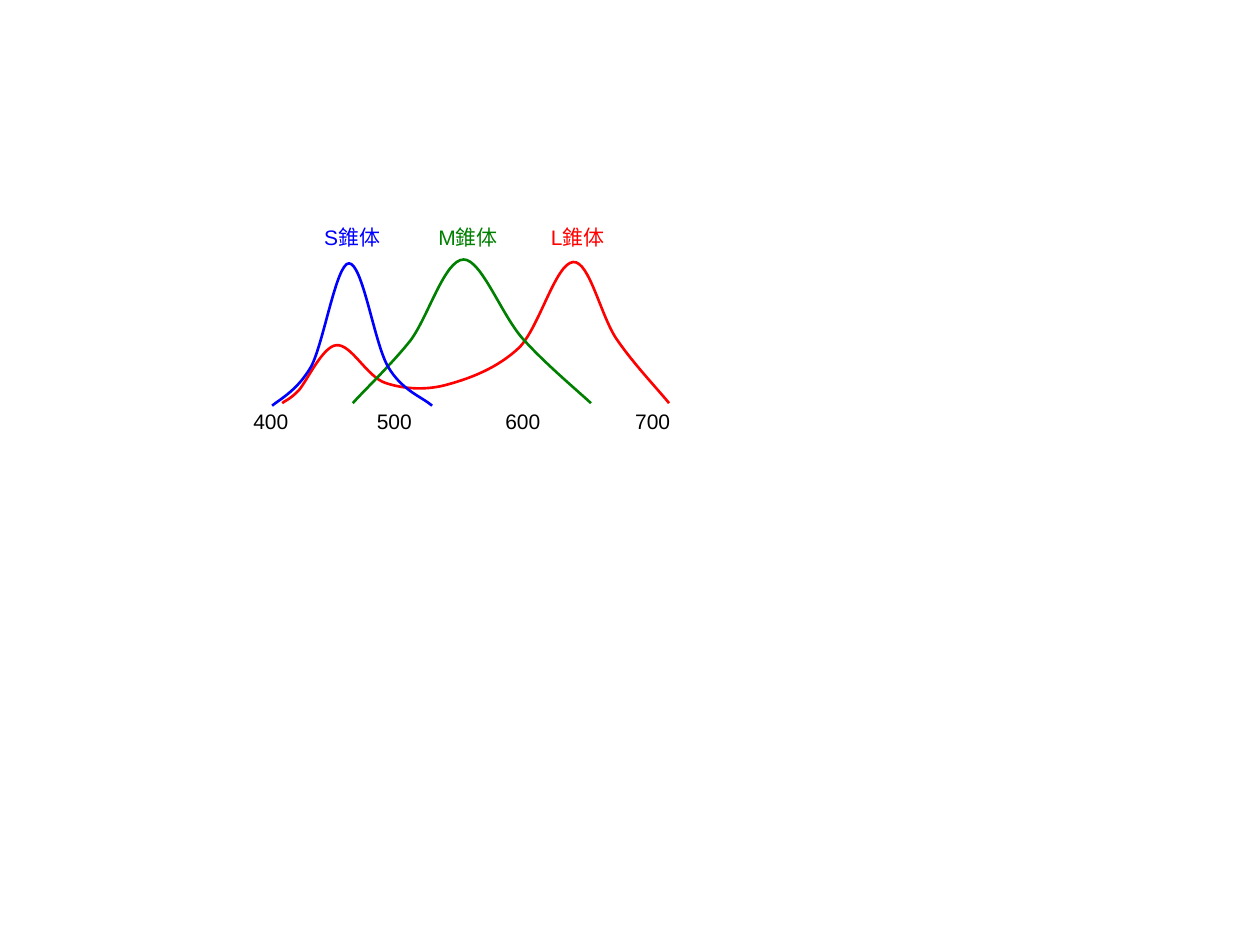
from lxml import etree
from pptx import Presentation
from pptx.dml.color import RGBColor
from pptx.enum.text import MSO_AUTO_SIZE as AutoSize, PP_ALIGN as Align
from pptx.oxml.ns import qn
from pptx.util import Inches, Pt

RED = RGBColor(0xFF, 0x00, 0x00)
GREEN = RGBColor(0x00, 0x80, 0x00)
BLUE = RGBColor(0x00, 0x00, 0xFF)
BLACK = RGBColor(0x00, 0x00, 0x00)

# Bezier points in inches: the start, then two control points and an end per segment
L_CURVE = [
    (2.24, 3.2),
    (2.26, 3.18), (2.29, 3.18), (2.37, 3.1),
    (2.44, 3.02), (2.56, 2.75), (2.67, 2.74),
    (2.79, 2.73), (2.91, 2.99), (3.06, 3.04),
    (3.21, 3.09), (3.39, 3.1), (3.56, 3.05),
    (3.74, 3.0), (3.95, 2.92), (4.12, 2.76),
    (4.28, 2.6), (4.41, 2.09), (4.55, 2.08),
    (4.68, 2.07), (4.77, 2.52), (4.9, 2.7),
    (5.03, 2.89), (5.23, 3.1), (5.31, 3.2),
]
M_CURVE = [
    (2.8, 3.2),
    (2.87, 3.12), (3.11, 2.89), (3.26, 2.7),
    (3.4, 2.51), (3.53, 2.06), (3.68, 2.06),
    (3.82, 2.06), (3.98, 2.5), (4.15, 2.69),
    (4.32, 2.88), (4.57, 3.09), (4.69, 3.2),
]
S_CURVE = [
    (2.16, 3.22),
    (2.22, 3.17), (2.36, 3.1), (2.47, 2.91),
    (2.57, 2.72), (2.67, 2.09), (2.77, 2.09),
    (2.88, 2.09), (2.97, 2.72), (3.08, 2.91),
    (3.19, 3.1), (3.35, 3.15), (3.43, 3.22),
]

LABEL_HEIGHT = 0.2
TICK_TOP, TICK_WIDTH = 3.24, 0.28
TICKS = [("400", 2.01), ("500", 2.99), ("600", 4.01), ("700", 5.04)]
# Widths leave a little room so that each name stays on one line
CONE_TOP = 1.78
CONES = [("L錐体", 4.34, 0.49, RED), ("M錐体", 3.45, 0.53, GREEN), ("S錐体", 2.54, 0.51, BLUE)]


def add_curve(slide, points, color):
    """Draw a smooth open curve through Bezier points."""
    start, *others = [(Inches(x), Inches(y)) for x, y in points]
    builder = slide.shapes.build_freeform(*start)
    builder.add_line_segments(others, close=False)
    shape = builder.convert_to_shape()
    shape.shadow.inherit = False
    shape.fill.background()
    shape.line.color.rgb = color
    shape.line.width = Pt(1.5)

    # Turn every three line points into one Bezier segment
    outline = next(shape._element.iter(qn("a:path")))
    lines = outline.findall(qn("a:lnTo"))
    for i in range(0, len(lines), 3):
        segment = etree.SubElement(outline, qn("a:cubicBezTo"))
        for line in lines[i:i + 3]:
            segment.append(line[0])
            outline.remove(line)


def add_label(slide, text, left, top, width, color):
    """Add a centred one-line label without margins."""
    box = slide.shapes.add_textbox(Inches(left), Inches(top), Inches(width), Inches(LABEL_HEIGHT))
    frame = box.text_frame
    frame.margin_left = frame.margin_right = frame.margin_top = frame.margin_bottom = 0
    frame.word_wrap = False
    frame.auto_size = AutoSize.SHAPE_TO_FIT_TEXT
    paragraph = frame.paragraphs[0]
    paragraph.text = text
    paragraph.alignment = Align.CENTER
    paragraph.font.name = "Arial"
    paragraph.font.size = Pt(12)
    paragraph.font.color.rgb = color


def main():
    presentation = Presentation()
    presentation.slide_width = Inches(10)
    presentation.slide_height = Inches(7.5)
    slide = presentation.slides.add_slide(presentation.slide_layouts[6])

    # Cone sensitivity curves
    for points, color in ((L_CURVE, RED), (M_CURVE, GREEN), (S_CURVE, BLUE)):
        add_curve(slide, points, color)

    # Wavelength ticks
    for text, left in TICKS:
        add_label(slide, text, left, TICK_TOP, TICK_WIDTH, BLACK)

    # Cone names
    for text, left, width, color in CONES:
        add_label(slide, text, left, CONE_TOP, width, color)

    presentation.save("out.pptx")


if __name__ == "__main__":
    main()
